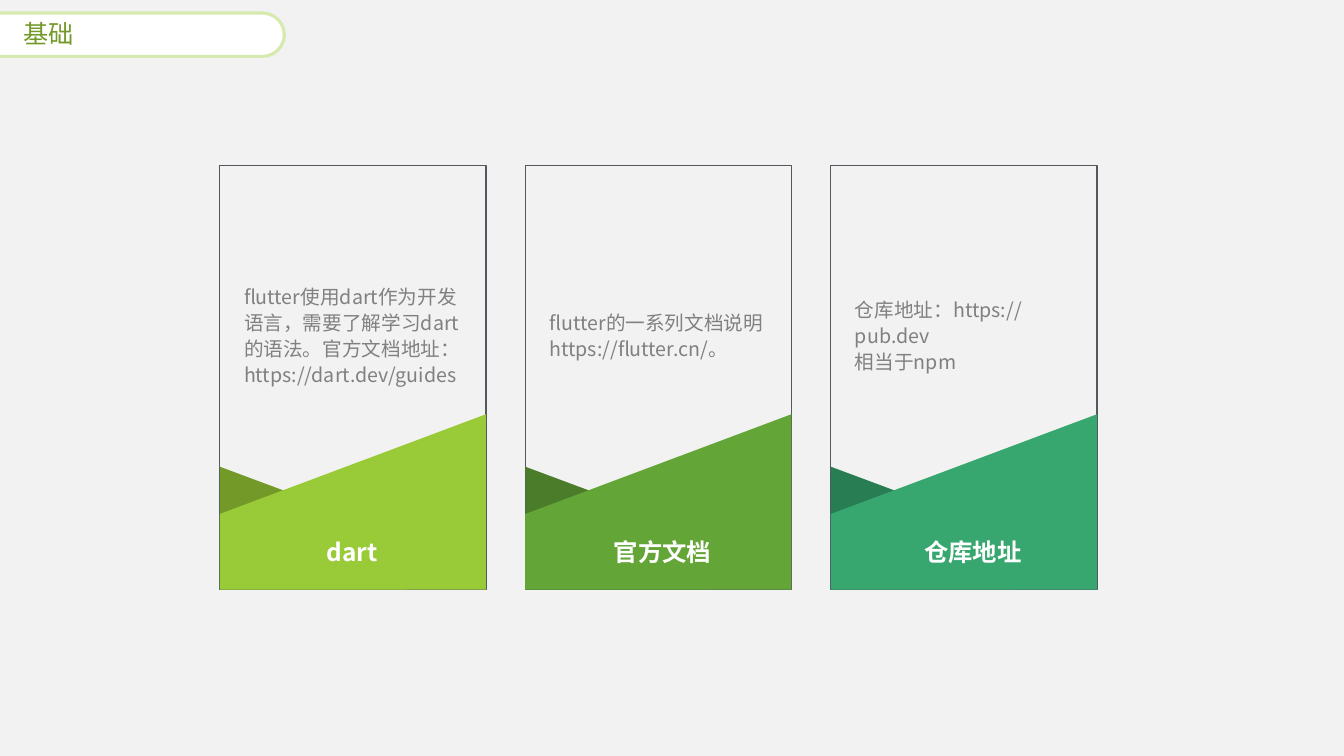
from lxml import etree
from pptx import Presentation
from pptx.dml.color import RGBColor
from pptx.enum.shapes import MSO_SHAPE
from pptx.enum.text import MSO_ANCHOR, PP_ALIGN
from pptx.oxml.ns import qn
from pptx.util import Inches, Pt

FONT = "Noto Sans CJK SC"
PILL = MSO_SHAPE.ROUNDED_RECTANGLE
MIDDLE = MSO_ANCHOR.MIDDLE
LEFT, CENTER = PP_ALIGN.LEFT, PP_ALIGN.CENTER

BACK = RGBColor(0xF2, 0xF2, 0xF2)
WHITE = RGBColor(0xFF, 0xFF, 0xFF)
GRAY = RGBColor(0x80, 0x80, 0x80)
FRAME = RGBColor(0x53, 0x58, 0x5F)
OLIVE = RGBColor(0x73, 0x9A, 0x28)
LIME = RGBColor(0x99, 0xCB, 0x38)
PALE = RGBColor(0xD6, 0xEA, 0xAF)
MOSS = RGBColor(0x4A, 0x7C, 0x29)
GREEN = RGBColor(0x63, 0xA5, 0x37)
PINE = RGBColor(0x29, 0x7D, 0x53)
JADE = RGBColor(0x37, 0xA7, 0x6F)

# Card grid, in inches
START, PITCH, WIDTH = 2.18, 3.03, 2.64
TOP, BASE = 1.64, 5.85
INSET = 0.24
MID, STEP = 3.49, 3.08  # label centres

CARDS = [
    ("dart", OLIVE, LIME,
     ["flutter使用dart作为开发语言，需要了解学习dart的语法。官方文档地址：https://dart.dev/guides"]),
    ("官方文档", MOSS, GREEN,
     ["flutter的一系列文档说明", "https://flutter.cn/。"]),
    ("仓库地址", PINE, JADE,
     ["仓库地址：https://pub.dev", "相当于npm"]),
]

prs = Presentation()
prs.slide_width, prs.slide_height = Inches(13.33), Inches(7.5)
slide = prs.slides.add_slide(prs.slide_layouts[6])
slide.background.fill.solid()
slide.background.fill.fore_color.rgb = BACK
shapes = slide.shapes


def outline(points, fill=None):
    """Draw a closed polygon, filled or else framed by a thin line."""
    spots = [(Inches(x), Inches(y)) for x, y in points]
    pen = shapes.build_freeform(*spots[0], scale=1.0)
    pen.add_line_segments(spots[1:], close=True)
    shape = pen.convert_to_shape()
    shape.shadow.inherit = False
    if fill is None:
        shape.fill.background()
        shape.line.color.rgb = FRAME
        shape.line.width = Pt(1)
    else:
        shape.fill.solid()
        shape.fill.fore_color.rgb = fill
        shape.line.fill.background()


def write(box, lines, size, color, bold=False, align=LEFT, gap=1.0, pad=0.0, wrap=True):
    """Add a text box with one paragraph for each line."""
    frame = shapes.add_textbox(*(Inches(n) for n in box)).text_frame
    frame.word_wrap = wrap
    frame.vertical_anchor = MIDDLE
    frame.margin_left = frame.margin_right = Inches(pad)
    frame.margin_top = frame.margin_bottom = Inches(pad / 2)
    for i, line in enumerate(lines):
        para = frame.add_paragraph() if i else frame.paragraphs[0]
        para.alignment = align
        para.line_spacing = gap
        run = para.add_run()
        run.text = line
        font = run.font
        font.size, font.bold, font.name = Pt(size), bold, FONT
        font.color.rgb = color
        east = etree.SubElement(run._r.get_or_add_rPr(), qn("a:ea"))
        east.set("typeface", FONT)


for i, (name, dark, light, lines) in enumerate(CARDS):
    x = START + i * PITCH
    end = x + WIDTH
    fold = x + 1.85
    outline([(x, TOP), (end, TOP), (end, BASE), (x, BASE)])
    outline([(x, 4.63), (fold, 5.32), (fold, BASE), (x, BASE)], dark)
    outline([(end, 4.11), (x, 5.1), (x, BASE), (end, BASE)], light)
    write((x + INSET, 2.49, 2.19, 1.66), lines, 14, GRAY, gap=1.1)
    write((MID + i * STEP - 1.1, 5.3, 2.2, 0.35), [name], 17.4, WHITE,
          bold=True, align=CENTER, wrap=False)

pill = shapes.add_shape(PILL, Inches(-0.35), Inches(0.13), Inches(3.17), Inches(0.43))
pill.adjustments[0] = 0.5
pill.shadow.inherit = False
pill.fill.solid()
pill.fill.fore_color.rgb = WHITE
pill.line.color.rgb = PALE
pill.line.width = Pt(2.25)
write((0.13, 0.13, 1.31, 0.4), ["基础"], 18, OLIVE, pad=0.1)

prs.save("out.pptx")
